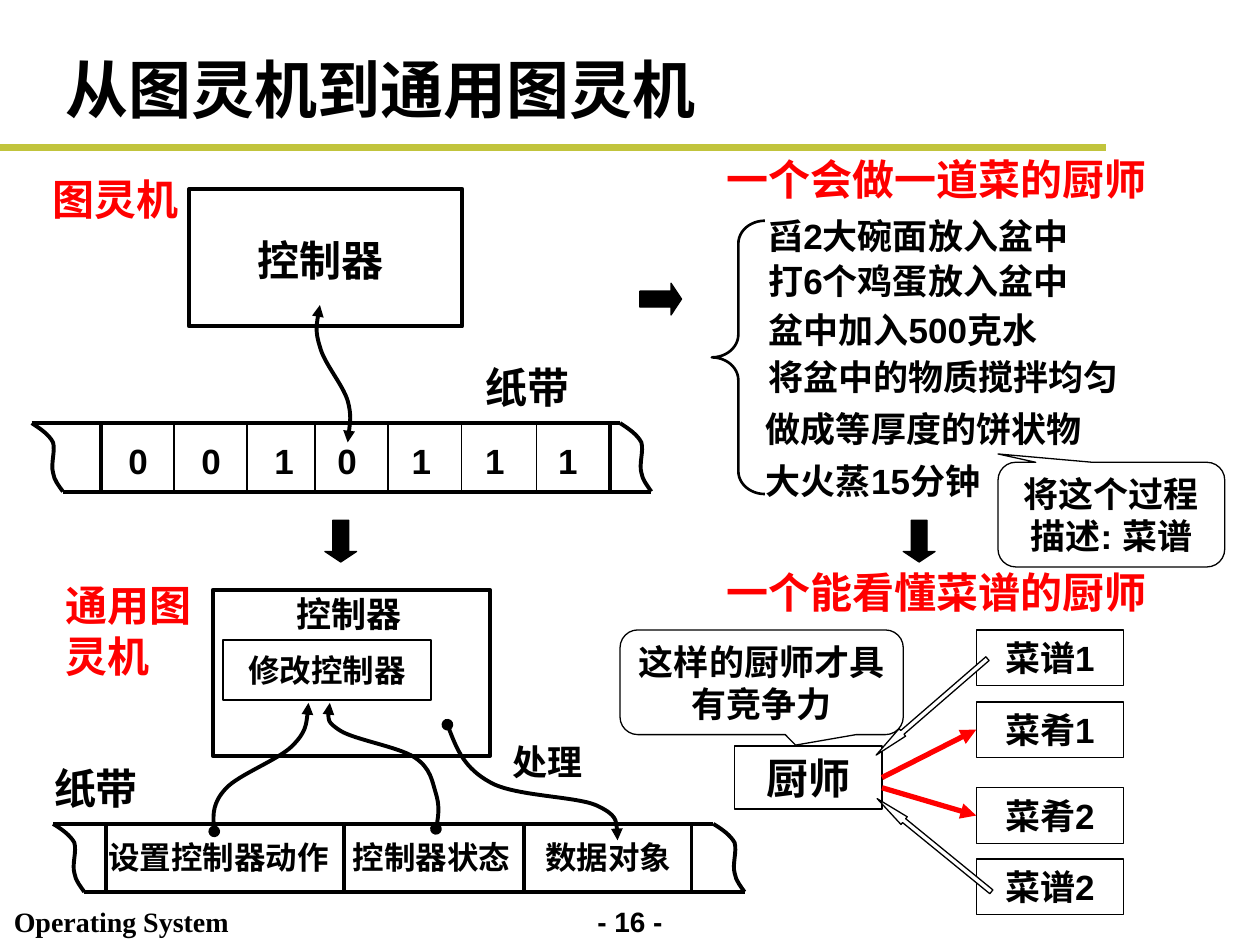
from lxml import etree
from pptx import Presentation
from pptx import util as u
from pptx.dml.color import RGBColor
from pptx.enum import shapes, text
from pptx.oxml import ns

HUE = {"ink": "000000", "red": "FF0000", "paper": "FFFFFF", "rule": "C1C43C"}
KIND = shapes.MSO_SHAPE
MID = text.PP_ALIGN.CENTER
LEFT = text.PP_ALIGN.LEFT

HEADS = [
    ("图灵机", 0.32, 1.33, 1.58, 0.5),
    ("通用图灵机", 0.42, 4.55, 1.5, 0.9),
    ("一个会做一道菜的厨师", 5.67, 1.17, 3.83, 0.5),
    ("一个能看懂菜谱的厨师", 5.67, 4.45, 3.83, 0.5),
]
STEPS = [
    ("舀2大碗面放入盆中", 6, 1.65),
    ("打6个鸡蛋放入盆中", 6, 2.01),
    ("盆中加入500克水", 6, 2.4),
    ("将盆中的物质搅拌均匀", 6, 2.77),
    ("做成等厚度的饼状物", 5.98, 3.19),
    ("大火蒸15分钟", 5.98, 3.6),
]
BITS = [("0", 0.92), ("0", 1.5), ("1", 2.08), ("0", 2.58), ("1", 3.17), ("1", 3.75), ("1", 4.33)]
CUTS = [1.38, 1.96, 2.5, 3.08, 3.66, 4.26]
CELLS = [("设置控制器动作", 0.76, 2.28), ("控制器状态", 2.7, 1.61), ("数据对象", 4.23, 1.44)]
CARDS = [("菜谱1", 5), ("菜肴1", 5.57), ("菜肴2", 6.25), ("菜谱2", 6.82)]
BLOCKS = [
    (KIND.DOWN_ARROW, 2.58, 4.13, 0.25, 0.33),
    (KIND.DOWN_ARROW, 7.17, 4.13, 0.25, 0.33),
    (KIND.RIGHT_ARROW, 5.08, 2.25, 0.33, 0.25),
]
WAVE = [(0, 0), (0.07, 0.04), (0.14, 0.09), (0.17, 0.15), (0.19, 0.22),
        (0.15, 0.32), (0.17, 0.39), (0.18, 0.45), (0.22, 0.5), (0.25, 0.54)]
PROBE = [(2.54, 2.42), (2.52, 2.52), (2.5, 2.63), (2.54, 2.75), (2.57, 2.88),
         (2.72, 3.05), (2.76, 3.18), (2.79, 3.3), (2.77, 3.41), (2.76, 3.51)]
LINKS = [
    [(1.7, 6.6), (1.69, 6.49), (1.69, 6.37), (1.79, 6.26), (1.89, 6.15),
     (2.21, 6.03), (2.32, 5.92), (2.43, 5.81), (2.44, 5.7), (2.45, 5.58)],
    [(3.46, 6.58), (3.48, 6.49), (3.49, 6.39), (3.46, 6.3), (3.43, 6.2),
     (3.42, 6.1), (3.29, 6.01), (3.17, 5.93), (2.81, 5.87), (2.7, 5.8),
     (2.59, 5.73), (2.6, 5.65), (2.62, 5.58)],
    [(3.55, 5.75), (3.62, 5.93), (3.69, 6.1), (3.89, 6.21), (4.08, 6.32),
     (4.56, 6.32), (4.73, 6.39), (4.9, 6.47), (4.9, 6.57), (4.9, 6.67)],
]

deck = Presentation()


def cm(inch):
    return u.Cm(round(inch * 2.54, 2))


deck.slide_width, deck.slide_height = cm(10), cm(7.5)
page = deck.slides.add_slide(deck.slide_layouts[6]).shapes


def rgb(name):
    return RGBColor.from_string(HUE[name])


def write(shape, words, size, hue="ink", align=LEFT, font="Arial",
          anchor=text.MSO_ANCHOR.TOP):
    frame = shape.text_frame
    frame.word_wrap = True
    frame.vertical_anchor = anchor
    para = frame.paragraphs[0]
    para.alignment = align
    run = para.add_run()
    run.text = words
    run.font.size = u.Pt(size)
    run.font.bold = True
    run.font.name = font
    run.font.color.rgb = rgb(hue)


def label(words, x, y, w, h, size, **look):
    write(page.add_textbox(cm(x), cm(y), cm(w), cm(h)), words, size, **look)


def block(kind, x, y, w, h, fill=None, width=0.75, turn=0, adj=()):
    shape = page.add_shape(kind, cm(x), cm(y), cm(w), cm(h))
    shape.shadow.inherit = False
    if fill:
        shape.fill.solid()
        shape.fill.fore_color.rgb = rgb(fill)
    else:
        shape.fill.background()
    shape.line.color.rgb = rgb("ink")
    shape.line.width = u.Pt(width)
    shape.rotation = turn
    for i, part in enumerate(adj):
        shape.adjustments[i] = part
    return shape


def card(words, size, *place, **look):
    shape = block(*place, **look)
    write(shape, words, size, align=MID, anchor=text.MSO_ANCHOR.MIDDLE)
    return shape


def tips(shape, head, tail):
    ln = shape._element.spPr.find(ns.qn("a:ln"))
    for tag, kind in (("a:headEnd", head), ("a:tailEnd", tail)):
        if kind:
            etree.SubElement(ln, ns.qn(tag), type=kind)


def line(x1, y1, x2, y2, width=2.25, hue="ink", tail=None):
    shape = page.add_connector(shapes.MSO_CONNECTOR.STRAIGHT, cm(x1), cm(y1), cm(x2), cm(y2))
    shape.line.color.rgb = rgb(hue)
    shape.line.width = u.Pt(width)
    tips(shape, None, tail)
    etree.SubElement(shape._element.spPr, ns.qn("a:effectLst"))
    return shape


def curve(dots, head=None, tail=None):
    first, *rest = [(cm(x), cm(y)) for x, y in dots]
    pen = page.build_freeform(*first)
    pen.add_line_segments(rest, close=False)
    shape = pen.convert_to_shape()
    track = shape._element.find(".//" + ns.qn("a:path"))
    legs = track.findall(ns.qn("a:lnTo"))
    for i in range(0, len(legs), 3):
        bend = etree.SubElement(track, ns.qn("a:cubicBezTo"))
        for leg in legs[i:i + 3]:
            bend.append(leg[0])
            track.remove(leg)
    shape.shadow.inherit = False
    shape.fill.background()
    shape.line.color.rgb = rgb("ink")
    shape.line.width = u.Pt(2.25)
    tips(shape, head, tail)


def tape(x, y, span, thick, thin=()):
    line(x, y, x + span, y)
    line(x + 0.25, y + 0.54, x + span + 0.25, y + 0.54)
    for side in (x, x + span):
        curve([(side + dx, y + dy) for dx, dy in WAVE])
    for cuts, width in ((thick, 2.25), (thin, 0.75)):
        for cut in cuts:
            line(cut, y, cut, y + 0.54, width)


label("- 16 -", 4.5, 7.13, 1, 0.37, 16, align=MID)
label("Operating System", 0.01, 7.13, 2.3, 0.37, 16, font="Times New Roman")
line(0, 1.17, 8.78, 1.17, 4, "rule")
label("从图灵机到通用图灵机", 0.42, 0.33, 8.58, 0.74, 36, anchor=text.MSO_ANCHOR.MIDDLE)

block(KIND.RECTANGLE, 1.5, 1.5, 2.17, 1.09, "paper", 2.25)
label("控制器", 1.67, 1.81, 1.75, 0.5, 24, align=MID)
tape(0.25, 3.36, 4.67, (0.8, 4.84), CUTS)
label("纸带", 3.75, 2.82, 1.09, 0.5, 24)
curve(PROBE, "triangle", "triangle")
for bit, x in BITS:
    label(bit, x, 3.44, 0.42, 0.44, 20)

for head in HEADS:
    label(*head, 24, hue="red")
for arrow in BLOCKS:
    block(*arrow, fill="ink", adj=(0.5, 0.33))

block(KIND.LEFT_BRACE, 5.65, 1.75, 0.42, 2.17, width=1.5, adj=(0.43, 0.5))
for words, x, y in STEPS:
    label(words, x, y, 3.24, 0.44, 20)
card("将这个过程描述: 菜谱", 20, KIND.ROUNDED_RECTANGULAR_CALLOUT, 7.92, 3.67, 1.8, 0.83,
     fill="paper", adj=(-0.5, -0.58, 0.17))

chef = card("厨师", 24, KIND.RECTANGLE, 5.83, 5.92, 1.17, 0.5)
menu = [card(words, 20, KIND.RECTANGLE, 7.75, y, 1.17, 0.44) for words, y in CARDS]
for dish, start in ((menu[1], 6.17), (menu[2], 6.25)):
    ray = line(7, start, 7.75, 6, 3, "red", "triangle")
    ray.end_connect(dish, 1)
    if start == 6.17:
        ray.begin_connect(chef, 3)
for x, y, turn in ((6.81, 5.57, 319.1), (6.83, 6.67, 39.2)):
    block(KIND.LEFT_ARROW, x, y, 1.17, 0.08, "paper", turn=turn, adj=(0.5, 3.5))
card("这样的厨师才具有竞争力", 20, KIND.ROUNDED_RECTANGULAR_CALLOUT, 4.92, 5, 2.25, 0.83,
     fill="paper", adj=(0.12, 0.6, 0.17))

block(KIND.RECTANGLE, 1.69, 4.68, 2.2, 1.32, "paper", 2.25)
label("控制器", 1.88, 4.65, 1.78, 0.44, 20, align=MID)
card("修改控制器", 18, KIND.RECTANGLE, 1.77, 5.08, 1.65, 0.48, fill="paper", width=1)
tape(0.42, 6.54, 5.24, (0.84, 2.73, 4.16, 5.49))
label("纸带", 0.33, 6, 1.1, 0.5, 24)
for words, x, w in CELLS:
    label(words, x, 6.6, w, 0.4, 18)
for link in LINKS:
    curve(link, "oval", "triangle")
label("处理", 3.97, 5.83, 1.1, 0.44, 20)

deck.save("out.pptx")
